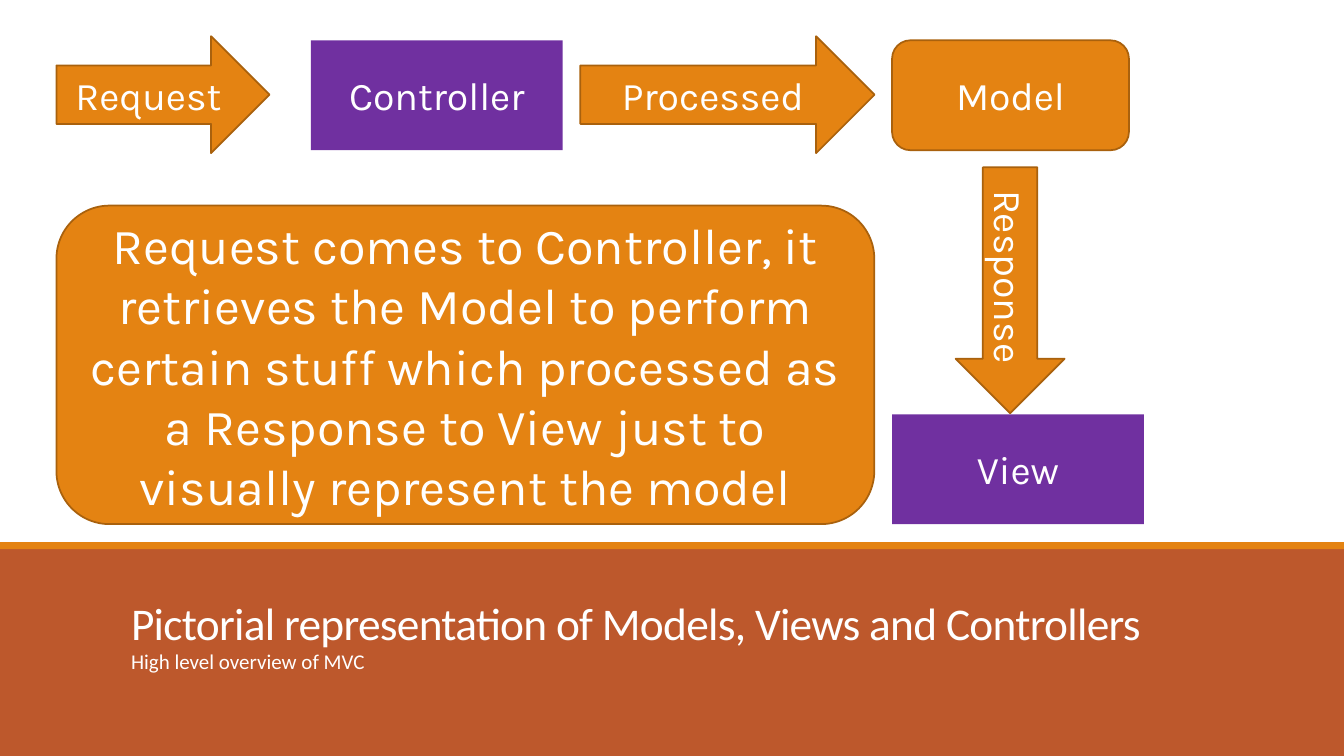
import pptx
import pptx.dml.color
import pptx.enum.shapes
import pptx.enum.text
import pptx.util

Pt = pptx.util.Pt
RGBColor = pptx.dml.color.RGBColor
MSO_SHAPE = pptx.enum.shapes.MSO_SHAPE
MSO_ANCHOR = pptx.enum.text.MSO_ANCHOR
PP_ALIGN = pptx.enum.text.PP_ALIGN

WHITE = RGBColor(0xFF, 0xFF, 0xFF)
ORANGE = RGBColor(0xE4, 0x83, 0x12)
DARK_ORANGE = RGBColor(0xA9, 0x61, 0x0D)
RUST = RGBColor(0xBD, 0x58, 0x2C)
PURPLE = RGBColor(0x70, 0x30, 0xA0)

SLIDE_WIDTH, SLIDE_HEIGHT = 960, 540
LEFT_EDGE = 40.3
RIGHT_COLUMN = 637.2
BOX_WIDTH, BOX_HEIGHT = 180, 78.5
BOX_TOP = 28.8
ARROW_TOP, ARROW_HEIGHT = 25.9, 83.5

presentation = pptx.Presentation()
presentation.slide_width = Pt(SLIDE_WIDTH)
presentation.slide_height = Pt(SLIDE_HEIGHT)
slide = presentation.slides.add_slide(presentation.slide_layouts.get_by_name("Section Header"))
title, subtitle = slide.placeholders


def add_filled_shape(preset, box, fill, outline=None):
    left, top, width, height = (Pt(length) for length in box)
    shape = slide.shapes.add_shape(preset, left, top, width, height)
    shape.shadow.inherit = False
    shape.fill.solid()
    shape.fill.fore_color.rgb = fill
    if outline is None:
        shape.line.fill.background()
    else:
        shape.line.color.rgb = outline
        shape.line.width = Pt(1.25)
    return shape


def write_text(shape, text, frame_format, paragraph_format, font_format):
    frame = shape.text_frame
    frame.text = text
    paragraph = frame.paragraphs[0]
    font = paragraph.runs[0].font
    font.color.rgb = WHITE
    for target, values in (
        (frame, frame_format),
        (paragraph, paragraph_format),
        (font, font_format),
    ):
        for name, value in values.items():
            setattr(target, name, value)


# Footer bands, kept behind the title
for band_box, band_color in (
    ((0, 390.2, SLIDE_WIDTH, 149.8), RUST),
    ((0, 387.2, SLIDE_WIDTH, 5), ORANGE),
):
    band = add_filled_shape(MSO_SHAPE.RECTANGLE, band_box, band_color)
    title.element.addprevious(band.element)

# Title and subtitle
heading_frame = {
    "word_wrap": True,
    "auto_size": pptx.enum.text.MSO_AUTO_SIZE.NONE,
    "margin_left": Pt(7.2),
    "margin_right": Pt(7.2),
    "margin_top": 0,
    "margin_bottom": 0,
}
for placeholder, text, top, height, anchor, size, line_spacing, space_after in (
    (title, "Pictorial representation of Models, Views and Controllers",
     399.6, 64.8, MSO_ANCHOR.BOTTOM, 32.4, 0.85, 0),
    (subtitle, "High level overview of MVC",
     465.1, 46.8, MSO_ANCHOR.TOP, 15, 0.9, 6),
):
    placeholder.left, placeholder.top = Pt(86.4), Pt(top)
    placeholder.width, placeholder.height = Pt(796.3), Pt(height)
    write_text(
        placeholder,
        text,
        {**heading_frame, "vertical_anchor": anchor},
        {"alignment": PP_ALIGN.LEFT, "line_spacing": line_spacing,
         "space_before": Pt(0), "space_after": Pt(space_after)},
        {"name": "Calibri", "size": Pt(size), "bold": False},
    )
title_run = title.element.xpath(".//a:rPr")[0]
title_run.set("cap", "none")
title_run.set("spc", "-50")

# Request flow and its explanation
explanation = (
    "Request comes to Controller, it retrieves the Model to perform certain stuff "
    "which processed as a Response to View just to visually represent the model"
)
for preset, box, fill, outline, text, size in (
    (MSO_SHAPE.RIGHT_ARROW, (LEFT_EDGE, ARROW_TOP, 152.2, ARROW_HEIGHT),
     ORANGE, DARK_ORANGE, "Request", 28),
    (MSO_SHAPE.RECTANGLE, (222, BOX_TOP, BOX_WIDTH, BOX_HEIGHT),
     PURPLE, None, "Controller", 28),
    (MSO_SHAPE.RIGHT_ARROW, (414.5, ARROW_TOP, 210.2, ARROW_HEIGHT),
     ORANGE, DARK_ORANGE, "Processed", 28),
    (MSO_SHAPE.ROUNDED_RECTANGLE, (RIGHT_COLUMN, BOX_TOP, 169.2, BOX_HEIGHT),
     ORANGE, DARK_ORANGE, "Model", 28),
    (MSO_SHAPE.DOWN_ARROW, (682.6, 119.5, 77.8, 175.7),
     ORANGE, DARK_ORANGE, "Response", 28),
    (MSO_SHAPE.RECTANGLE, (RIGHT_COLUMN, 295.9, BOX_WIDTH, BOX_HEIGHT),
     PURPLE, None, "View", 28),
    (MSO_SHAPE.ROUNDED_RECTANGLE, (LEFT_EDGE, 146.9, 584.2, 227.5),
     ORANGE, DARK_ORANGE, explanation, 36),
):
    shape = add_filled_shape(preset, box, fill, outline)
    write_text(
        shape,
        text,
        {"word_wrap": True, "vertical_anchor": MSO_ANCHOR.MIDDLE},
        {"alignment": PP_ALIGN.CENTER},
        {"name": "Karla", "size": Pt(size)},
    )
    if preset == MSO_SHAPE.DOWN_ARROW:
        shape.element.txBody.bodyPr.set("vert", "vert")

presentation.save("out.pptx")
